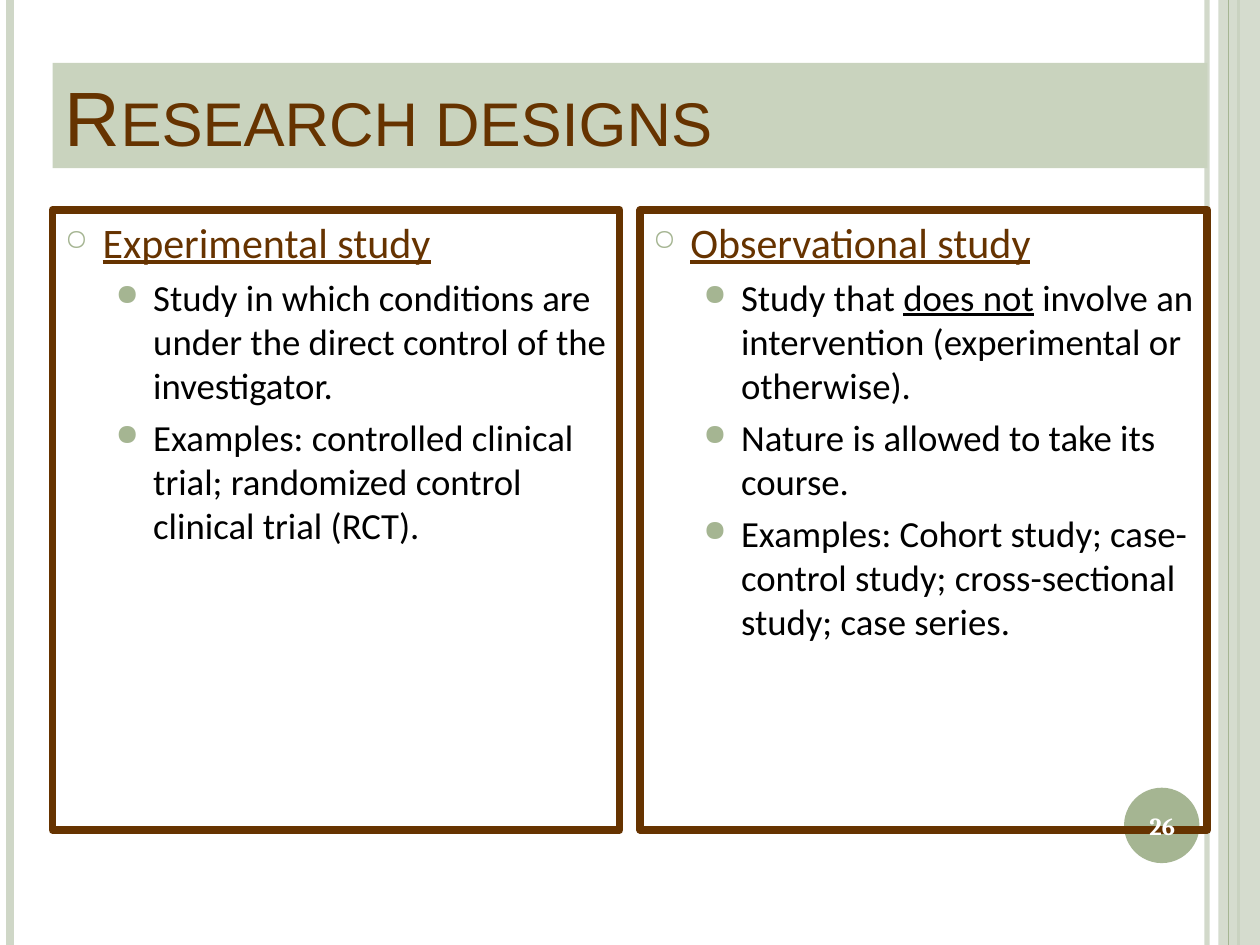
from lxml import etree
from pptx import Presentation
from pptx.dml.color import RGBColor
from pptx.enum.shapes import MSO_CONNECTOR, MSO_SHAPE
from pptx.enum.text import MSO_ANCHOR, PP_ALIGN
from pptx.oxml.ns import qn
from pptx.util import Cm, Pt

RECTANGLE, OVAL = MSO_SHAPE.RECTANGLE, MSO_SHAPE.OVAL
STRAIGHT = MSO_CONNECTOR.STRAIGHT
TOP, MIDDLE, BOTTOM = MSO_ANCHOR.TOP, MSO_ANCHOR.MIDDLE, MSO_ANCHOR.BOTTOM
LEFT, CENTER = PP_ALIGN.LEFT, PP_ALIGN.CENTER

COLORS = {
    "rail": "CFD7C7",
    "sage": "A5B592",
    "banner": "C9D3BE",
    "brown": "663300",
    "black": "000000",
    "white": "FFFFFF",
}
WIDTH, HEIGHT = 25.4, 19.05
MARGIN = 1.06
PANEL_WIDTH, PANEL_PITCH = 11.43, 11.85
RAILS = [
    (24.33, "rail", 3, 93),
    (0.2, "rail", 4.5, 100),
    (24.97, "sage", 1.5, 100),
]
PANELS = [
    ("Experimental study", [
        ["Study in which conditions are under the direct control of the investigator."],
        ["Examples: controlled clinical trial; randomized control clinical trial (RCT)."],
    ]),
    ("Observational study", [
        ["Study that ", "does not", " involve an intervention (experimental or otherwise)."],
        ["Nature is allowed to take its course."],
        ["Examples: Cohort study; case-control study; cross-sectional study; case series."],
    ]),
]


def rgb(name):
    """Return the named palette colour."""
    return RGBColor.from_string(COLORS[name])


def set_alpha(fill, percent):
    """Make a solid fill partly transparent."""
    color = fill._xPr.find(qn("a:solidFill"))[0]
    etree.SubElement(color, qn("a:alpha"), val=str(percent * 1000))


def add_rail(slide, x, color, weight, opacity=100):
    """Draw a full-height vertical line."""
    rail = slide.shapes.add_connector(STRAIGHT, Cm(x), Cm(0), Cm(x), Cm(HEIGHT))
    rail.line.color.rgb = rgb(color)
    rail.line.width = Pt(weight)
    if opacity < 100:
        set_alpha(rail.line.fill, opacity)
    etree.SubElement(rail._element.spPr, qn("a:effectLst"))


def add_box(slide, kind, left, top, width, height, fill=None, line=None,
            opacity=100, anchor=TOP):
    """Add a preset shape and return it."""
    shape = slide.shapes.add_shape(kind, Cm(left), Cm(top), Cm(width), Cm(height))
    shape.shadow.inherit = False
    if fill:
        shape.fill.solid()
        shape.fill.fore_color.rgb = rgb(fill)
        if opacity < 100:
            set_alpha(shape.fill, opacity)
    else:
        shape.fill.background()
    if line:
        shape.line.color.rgb = rgb(line)
        shape.line.width = Pt(4.5)
    else:
        shape.line.fill.background()
    shape.text_frame.word_wrap = True
    shape.text_frame.vertical_anchor = anchor
    return shape


def add_text(paragraph, text, size, color, font="Calibri", bold=False,
             underline=False, small_caps=False, align=LEFT):
    """Append a formatted run to a paragraph."""
    paragraph.alignment = align
    run = paragraph.add_run()
    run.text = text
    run.font.size = Pt(size)
    run.font.name = font
    run.font.bold = bold
    run.font.underline = underline
    run.font.color.rgb = rgb(color)
    if small_caps:
        run.font._element.set("cap", "small")


def set_bullet(paragraph, character, percent, indent, space):
    """Give a paragraph a hanging bullet and space before it."""
    paragraph.space_before = Pt(space)
    properties = paragraph._p.get_or_add_pPr()
    properties.set("marL", str(Cm(indent)))
    properties.set("indent", str(Cm(-0.76)))
    color = etree.SubElement(properties, qn("a:buClr"))
    etree.SubElement(color, qn("a:srgbClr"), val=COLORS["sage"])
    etree.SubElement(properties, qn("a:buSzPct"), val=str(percent * 1000))
    etree.SubElement(properties, qn("a:buChar"), char=character)


def add_panel(slide, left, heading, points):
    """Add a framed panel with a heading and its bullet points."""
    panel = add_box(slide, RECTANGLE, left, 4.23, PANEL_WIDTH, 12.5, line="brown")
    frame = panel.text_frame
    paragraph = frame.paragraphs[0]
    set_bullet(paragraph, "○", 70, 0.76, 6)
    add_text(paragraph, heading, 24, "brown", underline=True)
    for pieces in points:
        paragraph = frame.add_paragraph()
        paragraph.level = 1
        set_bullet(paragraph, "●", 80, 1.78, 4.5)
        for index, piece in enumerate(pieces):
            add_text(paragraph, piece, 21, "black", underline=index % 2 == 1)


def add_page_number(slide, number):
    """Add the page number over its disc."""
    box = slide.shapes.add_textbox(Cm(22.58), Cm(15.93), Cm(1.7), Cm(1.45))
    box.text_frame.word_wrap = True
    box.text_frame.vertical_anchor = MIDDLE
    add_text(box.text_frame.paragraphs[0], number, 14, "white", font="Cambria",
             bold=True, align=CENTER)


def main():
    """Build and save the slide."""
    presentation = Presentation()
    presentation.slide_width, presentation.slide_height = Cm(WIDTH), Cm(HEIGHT)
    slide = presentation.slides.add_slide(presentation.slide_layouts[6])
    for rail in RAILS:
        add_rail(slide, *rail)
    add_box(slide, RECTANGLE, 24.56, 0, 0.84, HEIGHT, fill="rail", opacity=87)
    add_rail(slide, 24.77, "sage", 0.75)
    add_box(slide, OVAL, 22.66, 15.88, 1.52, 1.52, fill="sage")
    title = add_box(slide, RECTANGLE, MARGIN, 1.27, PANEL_PITCH + PANEL_WIDTH, 2.12,
                    fill="banner", anchor=BOTTOM)
    add_text(title.text_frame.paragraphs[0], "Research designs", 44, "brown",
             font="Arial", small_caps=True)
    for index, (heading, points) in enumerate(PANELS):
        add_panel(slide, MARGIN + index * PANEL_PITCH, heading, points)
    add_page_number(slide, "26")
    presentation.save("out.pptx")


if __name__ == "__main__":
    main()
